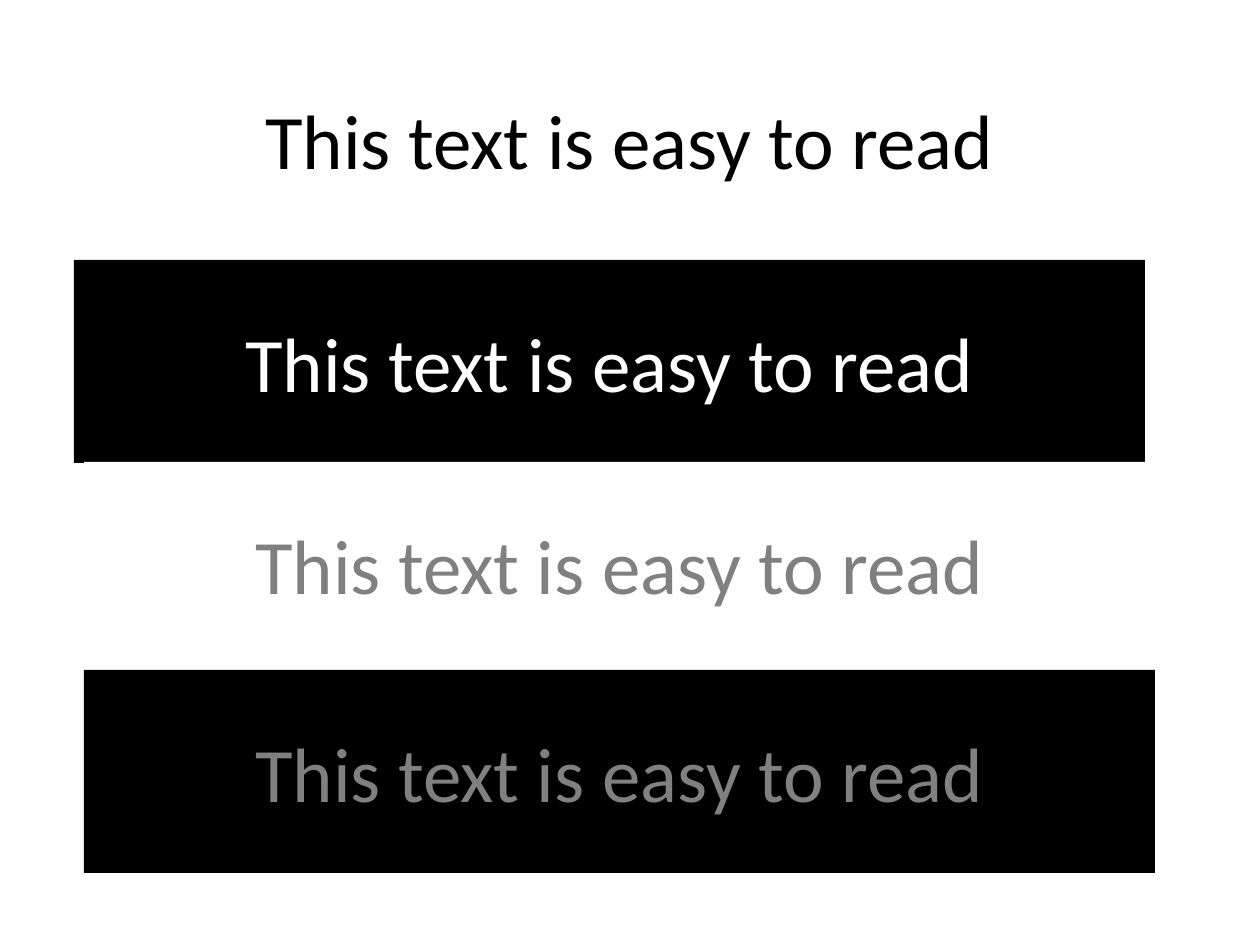
"""Build a slide that compares text contrast on white and black bands."""
from pptx import Presentation
from pptx.dml.color import RGBColor
from pptx.enum.shapes import MSO_SHAPE
from pptx.enum.text import MSO_ANCHOR, PP_ALIGN
from pptx.util import Inches, Pt

BLACK = RGBColor(0, 0, 0)
WHITE = RGBColor(255, 255, 255)
GRAY = RGBColor(128, 128, 128)

TEXT = "This text is easy to read"
BANDS = [
    (94, 37, WHITE, BLACK),
    (74, 260, BLACK, WHITE),
    (84, 462, WHITE, GRAY),
    (84, 670, BLACK, GRAY),
]
WIDE, HIGH = 1071, 203
FONT = {"name": "Calibri", "size": Pt(44), "bold": False}
FRAME = {"word_wrap": True, "vertical_anchor": MSO_ANCHOR.MIDDLE}
SCALE = Inches(1) / 126


def emu(*pixels):
    return [round(n * SCALE) for n in pixels]


def apply(part, values):
    for key, value in values.items():
        setattr(part, key, value)


def style(band, back, ink):
    band.fill.solid()
    band.fill.fore_color.rgb = back
    band.line.fill.background()
    frame = band.text_frame
    frame.text = TEXT
    apply(frame, FRAME)
    line = frame.paragraphs[0]
    line.alignment = PP_ALIGN.CENTER
    font = line.runs[0].font
    apply(font, FONT)
    font.color.rgb = ink


deck = Presentation()
apply(deck, {"slide_width": Inches(10), "slide_height": Inches(7.5)})
slide = deck.slides.add_slide(deck.slide_layouts[5])
title = slide.shapes.title

for row, (left, top, back, ink) in enumerate(BANDS):
    box = emu(left, top, WIDE, HIGH)
    if row == 0:
        band = title
        apply(band, dict(zip(("left", "top", "width", "height"), box)))
    else:
        band = slide.shapes.add_shape(MSO_SHAPE.RECTANGLE, *box)
        band.shadow.inherit = False
    style(band, back, ink)

deck.save("out.pptx")
